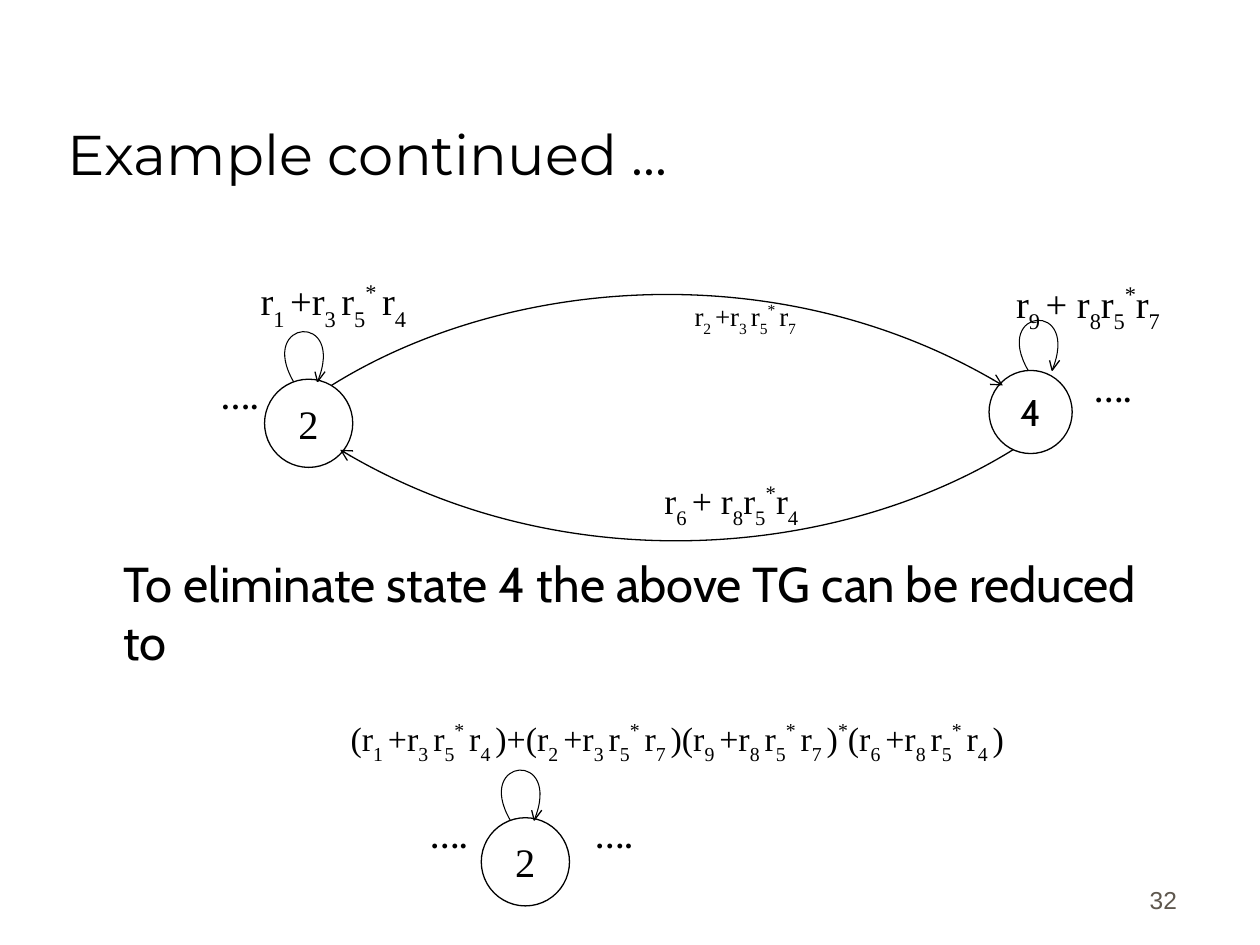
from dataclasses import dataclass
from typing import NamedTuple

from lxml.etree import SubElement
from pptx import Presentation
from pptx.dml.color import RGBColor
from pptx.enum.shapes import MSO_CONNECTOR as Conn, MSO_SHAPE as Shape
from pptx.enum.text import MSO_ANCHOR as Anchor, PP_ALIGN as Align
from pptx.oxml.ns import qn
from pptx.util import Inches, Pt


@dataclass(frozen=True)
class Theme:
    ink: RGBColor = RGBColor(0, 0, 0)
    paper: RGBColor = RGBColor(255, 255, 255)
    muted: RGBColor = RGBColor(0x5E, 0x57, 0x4E)
    title_font: str = "Montserrat"
    body_font: str = "Cabin"
    math_font: str = "Times New Roman"
    number_font: str = "Arial"
    title: float = 32
    body: float = 28
    dots: float = 17.1
    number: float = 14
    line: float = 0.75
    loop_line: float = 0.6


class Point(NamedTuple):
    x: float
    y: float


class Box(NamedTuple):
    x: float
    y: float
    w: float
    h: float


class State(NamedTuple):
    label: str
    center: Point
    diameter: float
    size: float
    font: str
    loop_shift: float


class Formula(NamedTuple):
    text: str
    box: Box
    size: float
    spacing: float


T = Theme()
BASELINES = {"_": "-30000", "^": "40000"}

STATES = [
    State("2", Point(2.45, 3.36), 0.7, 23.1, T.math_font, 0),
    State("4", Point(8.18, 3.27), 0.66, 21.2, T.body_font, 0.1),
    State("2", Point(4.17, 6.84), 0.7, 23.1, T.math_font, 0),
]
# Parts are split by "|"; a leading "_" lowers a part and "^" raises it.
FORMULAS = [
    Formula("r|_1 |+r|_3 |r|_5|^* |r|_4", Box(1.5, 2.15, 2.29, 0.67), 22, 1),
    Formula("r|_9 |+ r|_8|r|_5|^*|r|_7", Box(7.81, 2.17, 1.65, 0.67), 22, 1),
    Formula("r|_2 |+r|_3 |r|_5|^* |r|_7", Box(4.75, 2.35, 2.33, 0.42), 15.4, 0.8),
    Formula("r|_6 |+ r|_8|r|_5|^*|r|_4", Box(4.81, 3.75, 1.99, 0.5), 20.4, 0.9),
    Formula("(r|_1 |+r|_3 |r|_5|^* |r|_4 |)+(r|_2 |+r|_3 |r|_5|^* |r|_7 |)"
            "(r|_9 |+r|_8 |r|_5|^* |r|_7 |)|^*|(r|_6 |+r|_8 |r|_5|^* |r|_4 |)",
            Box(1.5, 5.67, 7.75, 0.5), 19.4, 0.8),
]
ARCS = [
    [Point(2.63, 3.06), Point(3.99, 2.21), Point(6.2, 2), Point(7.96, 3.06)],
    [Point(8.04, 3.57), Point(6.67, 4.42), Point(4.46, 4.63), Point(2.7, 3.57)],
]
DOTS = [Point(1.52, 3.02), Point(8.45, 2.96), Point(3.18, 6.5), Point(4.49, 6.5)]
# Loop control points and arrow barbs, measured from the state's centre
LOOP = [Point(-0.12, -0.33), Point(-0.41, -0.83), Point(0.3, -0.89), Point(0.07, -0.33)]
BARBS = [Point(0.13, -0.41), Point(0.05, -0.41)]


def write(tf, text: str, *, size: float, font: str = T.math_font,
          color: RGBColor = T.ink, align: Align = Align.LEFT,
          spacing: float = 1, bold: bool = False) -> None:
    p = tf.paragraphs[0]
    p.alignment = align
    p.line_spacing = spacing
    for part in text.split("|"):
        r = p.add_run()
        r.text = part.lstrip("_^")
        r.font.size, r.font.name, r.font.bold = Pt(size), font, bold
        r.font.color.rgb = color
        if part[0] in BASELINES:
            r._r.get_or_add_rPr().set("baseline", BASELINES[part[0]])


def add_text(s, text: str, box: Box, *, anchor: Anchor = Anchor.TOP, **fmt) -> None:
    tf = s.shapes.add_textbox(*map(Inches, box)).text_frame
    tf.word_wrap = True
    tf.vertical_anchor = anchor
    write(tf, text, **fmt)


def add_curve(s, points: list[Point], width: float, arrow: bool = False) -> None:
    start, *rest = [(Inches(p.x), Inches(p.y)) for p in points]
    builder = s.shapes.build_freeform(*start)
    builder.add_line_segments(rest, close=False)
    sp = builder.convert_to_shape()
    sp.shadow.inherit = False
    sp.fill.background()
    sp.line.color.rgb, sp.line.width = T.ink, Pt(width)
    # Turn the three straight segments into one cubic curve
    segments = list(sp._element.iter(qn("a:lnTo")))
    path = segments[0].getparent()
    cubic = SubElement(path, qn("a:cubicBezTo"))
    for segment in segments:
        cubic.append(segment[0])
        path.remove(segment)
    if arrow:
        SubElement(sp.line._get_or_add_ln(), qn("a:tailEnd"), type="arrow")


def add_line(s, a: Point, b: Point) -> None:
    c = s.shapes.add_connector(Conn.STRAIGHT, *map(Inches, (*a, *b)))
    c.line.color.rgb, c.line.width = T.ink, Pt(T.line)
    SubElement(c._element.spPr, qn("a:effectLst"))


def add_state(s, state: State) -> None:
    d, (cx, cy) = state.diameter, state.center
    sp = s.shapes.add_shape(Shape.OVAL, *map(Inches, (cx - d / 2, cy - d / 2, d, d)))
    sp.shadow.inherit = False
    sp.fill.solid()
    sp.fill.fore_color.rgb = T.paper
    sp.line.color.rgb, sp.line.width = T.ink, Pt(T.line)
    tf = sp.text_frame
    tf.margin_left = tf.margin_right = tf.margin_top = tf.margin_bottom = 0
    tf.vertical_anchor = Anchor.MIDDLE
    write(tf, state.label, size=state.size, font=state.font, align=Align.CENTER)

    def shifted(p: Point) -> Point:
        return Point(cx + state.loop_shift + p.x, cy + p.y)

    add_curve(s, [shifted(p) for p in LOOP], T.loop_line)
    for barb in BARBS:
        add_line(s, shifted(barb), shifted(LOOP[-1]))


def main() -> None:
    prs = Presentation()
    prs.slide_width, prs.slide_height = Inches(10), Inches(7.5)
    s = prs.slides.add_slide(prs.slide_layouts[6])

    # Title, statement and slide number
    add_text(s, "Example continued ...", Box(0.44, 0.28, 8.5, 1.25),
             anchor=Anchor.BOTTOM, size=T.title, font=T.title_font)
    add_text(s, "To eliminate state 4 the above TG can be reduced to",
             Box(0.88, 4.34, 8.56, 1.05), size=T.body, font=T.body_font)
    add_text(s, "32", Box(7.36, 6.81, 2.08, 0.5), anchor=Anchor.BOTTOM,
             size=T.number, font=T.number_font, color=T.muted, align=Align.RIGHT)

    # Transition graph
    for state in STATES:
        add_state(s, state)
    for arc in ARCS:
        add_curve(s, arc, T.line, arrow=True)

    # Edge labels and ellipses
    for f in FORMULAS:
        add_text(s, f.text, f.box, size=f.size, spacing=f.spacing, align=Align.CENTER)
    for p in DOTS:
        add_text(s, "….", Box(*p, 0.76, 0.42), size=T.dots, spacing=0.8,
                 bold=True, align=Align.CENTER)

    prs.save("out.pptx")


if __name__ == "__main__":
    main()
